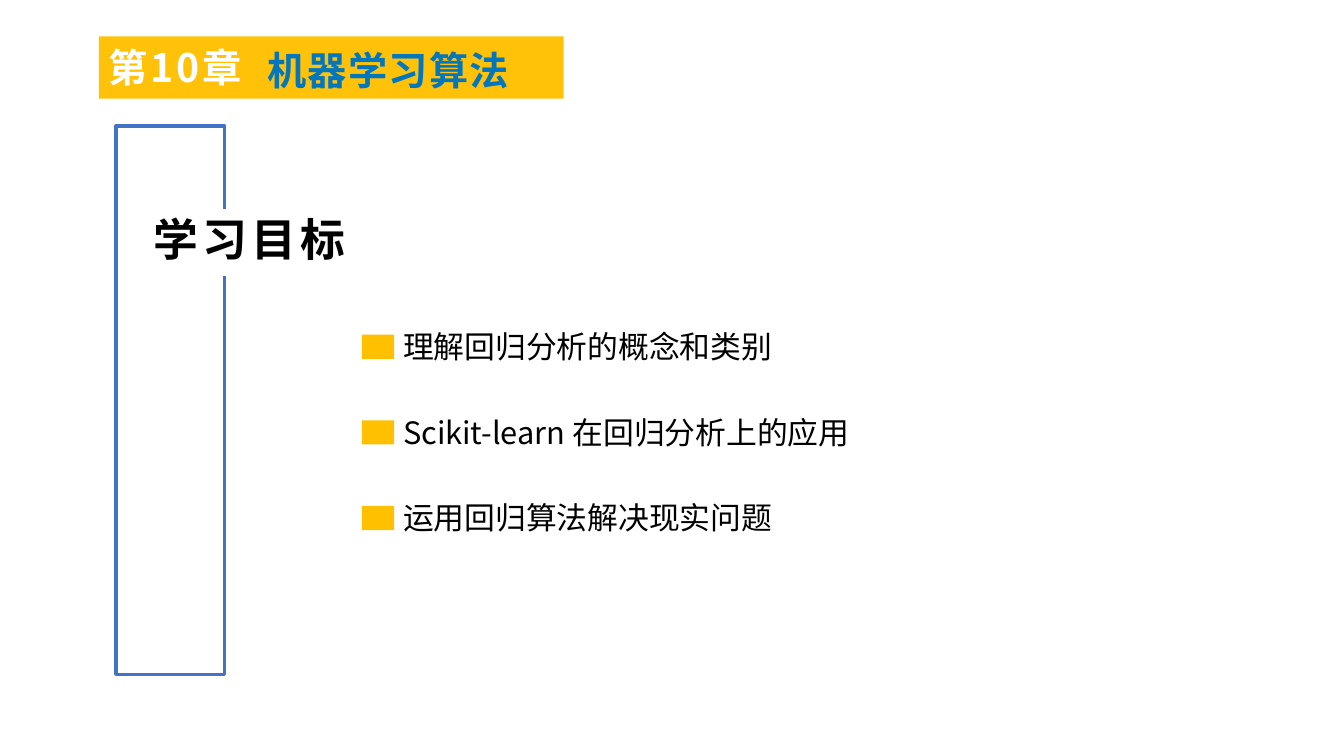
from pptx import Presentation
from pptx.dml.color import RGBColor
from pptx.enum.shapes import MSO_SHAPE
from pptx.enum.text import MSO_ANCHOR, MSO_AUTO_SIZE, PP_ALIGN
from pptx.oxml.ns import qn
from pptx.util import Inches, Pt
from lxml.etree import SubElement

COLORS = {
    "black": "000000",
    "white": "FFFFFF",
    "blue": "0277BD",
    "frame": "4472C4",
    "banner": "FFC209",
    "marker": "FFC000",
}


class SlideWriter:
    font_name = "Noto Sans CJK SC"

    def __init__(self, page):
        self.page = page

    def color(self, name):
        return RGBColor.from_string(COLORS[name])

    def format_text(self, box, text, size, color, bold=False, spacing=0, wrap=True):
        frame = box.text_frame
        frame.text = text
        frame.word_wrap = wrap
        frame.auto_size = MSO_AUTO_SIZE.SHAPE_TO_FIT_TEXT
        frame.vertical_anchor = MSO_ANCHOR.MIDDLE
        frame.margin_left = frame.margin_right = Inches(0.1)
        frame.margin_top = frame.margin_bottom = 0
        paragraph = frame.paragraphs[0]
        paragraph.alignment = PP_ALIGN.LEFT
        paragraph.line_spacing = 1.0
        span = paragraph.runs[0]
        span.font.size = Pt(size)
        span.font.bold = bold
        span.font.color.rgb = self.color(color)
        span.font.name = self.font_name
        properties = span.font._element
        SubElement(properties, qn("a:ea")).set("typeface", self.font_name)
        if spacing:
            properties.set("spc", str(spacing * 100))

    def title(self, text, left, top, width, height, **style):
        box = self.page.shapes.title
        box.left, box.top = Inches(left), Inches(top)
        box.width, box.height = Inches(width), Inches(height)
        self.format_text(box, text, **style)

    def text(self, text, left, top, width, height, **style):
        box = self.page.shapes.add_textbox(
            Inches(left), Inches(top), Inches(width), Inches(height))
        self.format_text(box, text, **style)

    def rectangle(self, left, top, width, height, color):
        box = self.page.shapes.add_shape(
            MSO_SHAPE.RECTANGLE,
            Inches(left), Inches(top), Inches(width), Inches(height))
        box.shadow.inherit = False
        box.fill.solid()
        box.fill.fore_color.rgb = self.color(color)
        box.line.fill.background()

    def outline(self, points, color, weight):
        start, *rest = [(Inches(x), Inches(y)) for x, y in points]
        builder = self.page.shapes.build_freeform(*start)
        builder.add_line_segments(rest, close=False)
        shape = builder.convert_to_shape()
        shape.shadow.inherit = False
        shape.fill.background()
        shape.line.color.rgb = self.color(color)
        shape.line.width = Pt(weight)


def main():
    deck = Presentation()
    deck.slide_width, deck.slide_height = Inches(13.33), Inches(7.5)
    writer = SlideWriter(deck.slides.add_slide(deck.slide_layouts[5]))

    # Title and the open frame around it
    writer.title("学习目标", 1.42, 2.05, 2.17, 0.64,
                 size=32, color="black", bold=True, spacing=3, wrap=False)
    left, right, top, bottom = 1.15, 2.23, 1.25, 6.69
    writer.outline([(right, 2.74), (right, bottom), (left, bottom),
                    (left, top), (right, top), (right, 2.07)], "frame", 2.25)

    # Learning goals with their markers
    goals = ["理解回归分析的概念和类别",
             "Scikit-learn 在回归分析上的应用",
             "运用回归算法解决现实问题"]
    for index, goal in enumerate(goals):
        goal_top = 3.2 + 0.85 * index
        writer.text(goal, 3.9, goal_top, 7.5, 0.47, size=22, color="black")
        writer.rectangle(3.59, goal_top + 0.12, 0.32, 0.24, "marker")

    # Chapter banner
    writer.rectangle(0.98, 0.36, 4.61, 0.62, "banner")
    writer.text("机器学习算法", 2.55, 0.41, 3.48, 0.57,
                size=28, color="blue", bold=True, spacing=1)
    writer.text("第10章", 0.98, 0.38, 3.81, 0.57,
                size=28, color="white", bold=True, spacing=2)

    deck.save("out.pptx")


if __name__ == "__main__":
    main()
